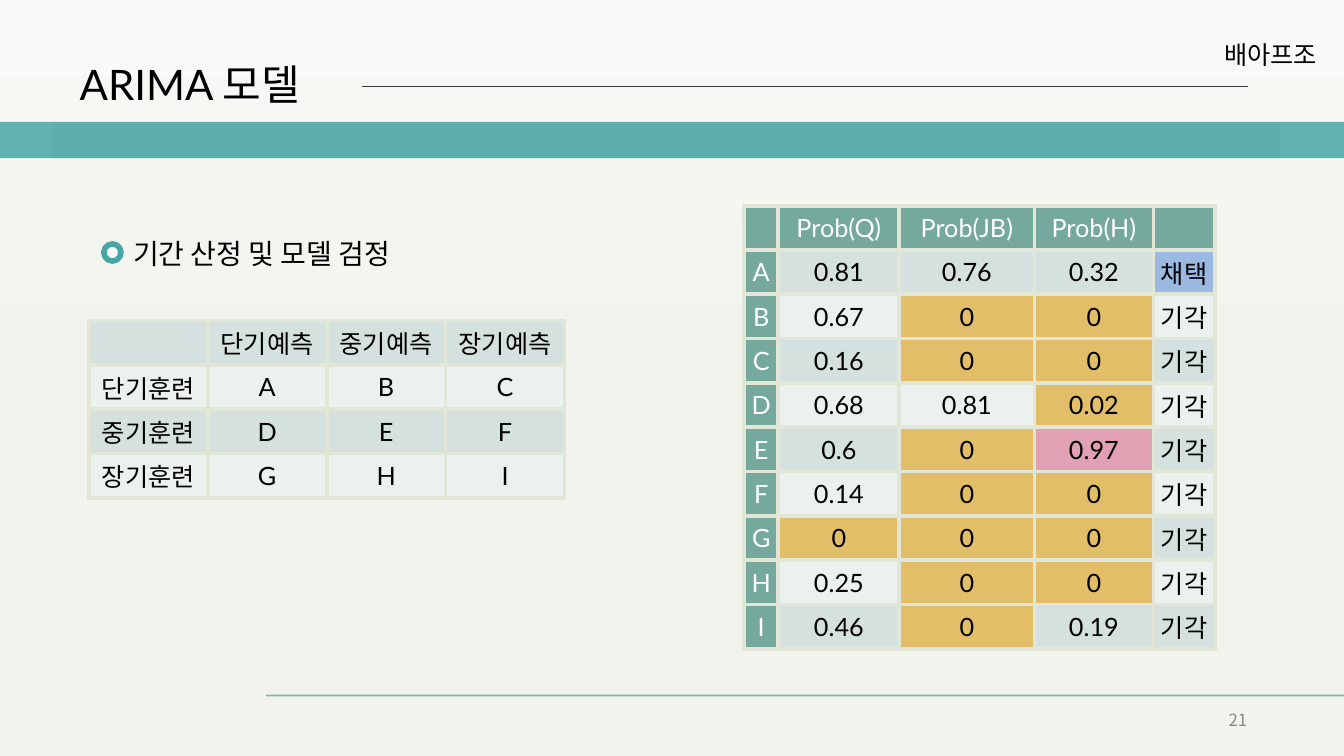
from copy import deepcopy

from pptx import Presentation
from pptx.dml.color import RGBColor
from pptx.enum.shapes import MSO_CONNECTOR, MSO_SHAPE
from pptx.enum.text import MSO_ANCHOR as Anchor, PP_ALIGN as Align
from pptx.oxml.ns import qn
from pptx.oxml.xmlchemy import OxmlElement
from pptx.util import Inches, Pt

BLACK = RGBColor(0x00, 0x00, 0x00)
WHITE = RGBColor(0xFF, 0xFF, 0xFF)
GRAY = RGBColor(0x88, 0x88, 0x88)
CHARCOAL = RGBColor(0x3A, 0x38, 0x38)
TEAL = RGBColor(0x49, 0xA6, 0xA6)
GREEN = RGBColor(0x75, 0xA9, 0x9E)
BULLET_WHITE = RGBColor(0xFB, 0xFB, 0xFB)
BAND_DARK = RGBColor(0xD5, 0xE1, 0xDE)
BAND_LIGHT = RGBColor(0xEB, 0xF1, 0xEF)
CELL_BORDER = RGBColor(0xE1, 0xE6, 0xD7)
GOLD = RGBColor(0xE1, 0xBE, 0x67)
PINK = RGBColor(0xE1, 0xA1, 0xB3)
BLUE = RGBColor(0x9C, 0xB9, 0xE1)
BACKGROUND_STOPS = [RGBColor(0xF9, 0xFA, 0xF7), RGBColor(0xF1, 0xF3, 0xEC),
                    RGBColor(0xEF, 0xF2, 0xEA)]

LATIN_FONT = "Lato"
KOREAN_FONT = "Noto Sans CJK KR"

PERIODS = [
    ["", "단기예측", "중기예측", "장기예측"],
    ["단기훈련", "A", "B", "C"],
    ["중기훈련", "D", "E", "F"],
    ["장기훈련", "G", "H", "I"],
]
ACCEPTED, REJECTED = "채택", "기각"
TESTS = [
    ["", "Prob(Q)", "Prob(JB)", "Prob(H)", ""],
    ["A", "0.81", "0.76", "0.32", ACCEPTED],
    ["B", "0.67", "0", "0", REJECTED],
    ["C", "0.16", "0", "0", REJECTED],
    ["D", "0.68", "0.81", "0.02", REJECTED],
    ["E", "0.6", "0", "0.97", REJECTED],
    ["F", "0.14", "0", "0", REJECTED],
    ["G", "0", "0", "0", REJECTED],
    ["H", "0.25", "0", "0", REJECTED],
    ["I", "0.46", "0", "0.19", REJECTED],
]
SIGNIFICANCE = 0.05


def add_run(paragraph, text, size, color=BLACK, font=LATIN_FONT):
    run = paragraph.add_run()
    run.text = text
    run.font.size = Pt(size)
    run.font.name = font
    run.font.color.rgb = color
    east_asian = OxmlElement("a:ea")
    east_asian.set("typeface", KOREAN_FONT)
    run.font._element.append(east_asian)


def add_text_frame(slide, left, top, width, height, anchor=Anchor.TOP, wrap=True):
    box = slide.shapes.add_textbox(Inches(left), Inches(top), Inches(width), Inches(height))
    frame = box.text_frame
    frame.word_wrap = wrap
    frame.vertical_anchor = anchor
    frame.margin_left = frame.margin_right = Inches(0.05)
    frame.margin_top = frame.margin_bottom = Inches(0.05)
    return frame


def set_opacity(properties, percent):
    color = properties.find(".//" + qn("a:srgbClr"))
    alpha = OxmlElement("a:alpha")
    alpha.set("val", str(percent * 1000))
    color.append(alpha)


def add_shape(slide, kind, left, top, width, height, fill, opacity=100, line=None, weight=0):
    shape = slide.shapes.add_shape(kind, Inches(left), Inches(top), Inches(width), Inches(height))
    shape.shadow.inherit = False
    shape.fill.solid()
    shape.fill.fore_color.rgb = fill
    if opacity < 100:
        set_opacity(shape._element.spPr, opacity)
    if line is None:
        shape.line.fill.background()
    else:
        shape.line.color.rgb = line
        shape.line.width = Pt(weight)


def add_rule(slide, left, right, y, color, weight, opacity=100):
    rule = slide.shapes.add_connector(MSO_CONNECTOR.STRAIGHT, Inches(left), Inches(y),
                                      Inches(right), Inches(y))
    rule.line.color.rgb = color
    rule.line.width = Pt(weight)
    if opacity < 100:
        set_opacity(rule._element.spPr, opacity)
    rule._element.spPr.append(OxmlElement("a:effectLst"))


def set_background(slide):
    fill = slide.background.fill
    fill.gradient()
    fill.gradient_angle = 270
    first = slide._element.find(".//" + qn("a:gs"))
    middle = deepcopy(first)
    middle.set("pos", "50000")
    first.addnext(middle)
    for stop, color in zip(fill.gradient_stops, BACKGROUND_STOPS):
        stop.color.rgb = color


def add_team_name(slide, left, top, width, height):
    frame = add_text_frame(slide, left, top, width, height)
    frame.paragraphs[0].alignment = Align.CENTER
    add_run(frame.paragraphs[0], "배아프조", 18, font=KOREAN_FONT)


def add_header(slide, left, top, width):
    add_shape(slide, MSO_SHAPE.RECTANGLE, left + 0.54, top, 12.17, 0.36, CHARCOAL, 11)
    add_shape(slide, MSO_SHAPE.RECTANGLE, left, top, width, 0.36, TEAL, 86)
    add_rule(slide, left + 3.6, left + 12.39, top - 0.35, CHARCOAL, 0.5)
    title = add_text_frame(slide, left + 0.75, top - 0.7, 3.07, 0.7, Anchor.MIDDLE)
    title.paragraphs[0].line_spacing = 0.9
    add_run(title.paragraphs[0], "ARIMA 모델", 30)


def add_topic(slide, left, top):
    frame = add_text_frame(slide, left + 0.24, top, 2.73, 0.77)
    add_run(frame.paragraphs[0], "기간 산정 및 모델 검정", 20)
    add_shape(slide, MSO_SHAPE.OVAL, left, top + 0.12, 0.17, 0.17, BULLET_WHITE,
              line=TEAL, weight=4)


def add_footer(slide, left, top, right):
    add_rule(slide, left, right, top, GREEN, 1.25, 85)
    frame = add_text_frame(slide, right - 1.21, top + 0.1, 0.3, 0.29, Anchor.MIDDLE, wrap=False)
    frame.paragraphs[0].alignment = Align.RIGHT
    add_run(frame.paragraphs[0], "21", 12, GRAY, KOREAN_FONT)


def add_border(cell):
    properties = cell._tc.get_or_add_tcPr()
    for index, side in enumerate(("a:lnL", "a:lnR", "a:lnT", "a:lnB")):
        line = OxmlElement(side)
        line.set("w", str(Pt(3)))
        fill = OxmlElement("a:solidFill")
        color = OxmlElement("a:srgbClr")
        color.set("val", str(CELL_BORDER))
        fill.append(color)
        line.append(fill)
        properties.insert(index, line)


def add_table(slide, left, top, widths, row_height, rows, margin, style):
    """Draw rows; style(row, column, text) gives the fill and text colours."""
    table = slide.shapes.add_table(len(rows), len(widths), Inches(left), Inches(top),
                                   Inches(sum(widths)), Inches(row_height * len(rows))).table
    for column, width in zip(table.columns, widths):
        column.width = Inches(width)
    for r, texts in enumerate(rows):
        for c, text in enumerate(texts):
            cell = table.cell(r, c)
            fill, color = style(r, c, text)
            cell.fill.solid()
            cell.fill.fore_color.rgb = fill
            add_border(cell)
            cell.vertical_anchor = Anchor.MIDDLE
            cell.margin_left = cell.margin_right = Inches(margin)
            cell.margin_top = cell.margin_bottom = Inches(margin)
            if text:
                paragraph = cell.text_frame.paragraphs[0]
                paragraph.alignment = Align.CENTER
                add_run(paragraph, text, 18, color)


def period_style(row, column, text):
    return (BAND_LIGHT if row % 2 else BAND_DARK), BLACK


def test_style(row, column, text):
    if row == 0 or column == 0:
        return GREEN, WHITE
    if text == ACCEPTED:
        return BLUE, BLACK
    if text == "0.97":
        return PINK, BLACK
    if text != REJECTED and float(text) < SIGNIFICANCE:
        return GOLD, BLACK
    return (BAND_DARK if row % 2 else BAND_LIGHT), BLACK


def main():
    presentation = Presentation()
    presentation.slide_width, presentation.slide_height = Inches(13.33), Inches(7.5)
    slide = presentation.slides.add_slide(presentation.slide_layouts[6])
    set_background(slide)
    add_team_name(slide, 11.89, 0.34, 1.42, 0.4)
    add_header(slide, -0.01, 1.21, 13.36)
    add_footer(slide, 2.64, 6.9, 13.33)
    add_topic(slide, 1.03, 2.3)
    add_table(slide, 0.88, 3.18, [1.18] * 4, 0.44, PERIODS, 0.02, period_style)
    add_table(slide, 7.38, 2.04, [0.34, 1.2, 1.34, 1.18, 0.61], 0.44, TESTS, 0, test_style)
    presentation.save("out.pptx")


if __name__ == "__main__":
    main()
